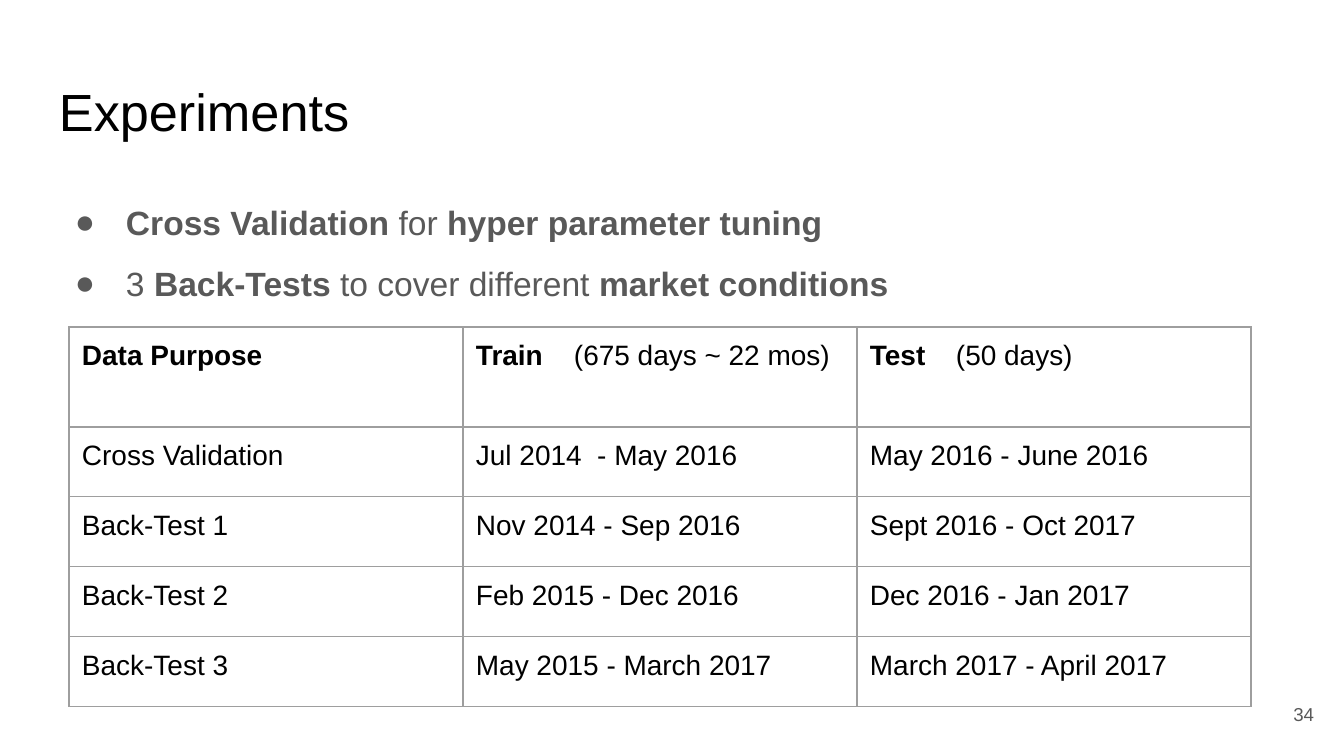
from lxml import etree
from pptx import Presentation, util as u
from pptx.dml.color import RGBColor
from pptx.enum import text as t
from pptx.oxml.ns import qn

TITLE = "Experiments"
PAGE = "34"
# Text between asterisks is bold.
POINTS = [
    "*Cross Validation* for *hyper parameter tuning*",
    "3 *Back-Tests* to cover different *market conditions*",
]
ROWS = [
    ["*Data Purpose*", "*Train*\t(675 days ~ 22 mos)", "*Test*\t(50 days)"],
    ["Cross Validation", "Jul 2014  - May 2016", "May 2016 - June 2016"],
    ["Back-Test 1", "Nov 2014 - Sep 2016", "Sept 2016 - Oct 2017"],
    ["Back-Test 2", "Feb 2015 - Dec 2016", "Dec 2016 - Jan 2017"],
    ["Back-Test 3", "May 2015 - March 2017", "March 2017 - April 2017"],
]
TABS = [0, 98, 86]
BLACK, GREY, EDGE = "000000", "595959", "9E9E9E"
COL, HEAD, ROW, PAD = 394, 100, 70, 13


def px(n):
    return u.Emu(round(n * 914400 / 134.4))


def rgb(code):
    return RGBColor.from_string(code)


def write(para, words, size, color):
    """Fill a paragraph, with the parts between asterisks in bold."""
    for i, part in enumerate(words.split("*")):
        if part:
            run = para.add_run()
            run.text = part
            font = run.font
            font.name, font.size, font.bold = "Arial", u.Pt(size), i % 2 == 1
            font.color.rgb = rgb(color)


def place(shape, left, top, width, height, anchor=t.MSO_ANCHOR.TOP):
    shape.left, shape.top = px(left), px(top)
    shape.width, shape.height = px(width), px(height)
    frame = shape.text_frame
    frame.word_wrap = True
    frame.auto_size = t.MSO_AUTO_SIZE.NONE
    frame.vertical_anchor = anchor
    frame.margin_left = frame.margin_right = px(PAD)
    frame.margin_top = frame.margin_bottom = px(PAD)
    return frame


def bullet(para):
    props = para._p.get_or_add_pPr()
    props.set("marL", str(px(67)))
    props.set("indent", str(-px(51)))
    tint = etree.SubElement(props, qn("a:buClr"))
    etree.SubElement(tint, qn("a:srgbClr"), val=GREY)
    etree.SubElement(props, qn("a:buFont"), typeface="Arial")
    etree.SubElement(props, qn("a:buChar"), char="●")


def tab(para, pos):
    stops = etree.SubElement(para._p.get_or_add_pPr(), qn("a:tabLst"))
    etree.SubElement(stops, qn("a:tab"), pos=str(px(pos)), algn="l")


def border(cell):
    props = cell._tc.get_or_add_tcPr()
    for i, side in enumerate(("lnL", "lnR", "lnT", "lnB")):
        line = etree.Element(qn("a:" + side), w=str(u.Pt(0.75)))
        fill = etree.SubElement(line, qn("a:solidFill"))
        etree.SubElement(fill, qn("a:srgbClr"), val=EDGE)
        props.insert(i, line)


deck = Presentation()
deck.slide_width, deck.slide_height = px(1344), px(756)
slide = deck.slides.add_slide(deck.slide_layouts[1])
title, body = slide.placeholders

frame = place(title, 46, 66, 1252, 84)
para = frame.paragraphs[0]
para.alignment = t.PP_ALIGN.LEFT
write(para, TITLE, 28, BLACK)

frame = place(body, 46, 169, 1252, 503)
for i, words in enumerate(POINTS):
    para = frame.add_paragraph() if i else frame.paragraphs[0]
    para.line_spacing, para.space_before = 1.5, u.Pt(0)
    bullet(para)
    write(para, words, 18, GREY)

grid = slide.shapes.add_table(
    len(ROWS), len(TABS), px(69), px(327),
    px(COL * len(TABS)), px(HEAD + ROW * (len(ROWS) - 1))).table
grid.first_row = grid.horz_banding = False
for col in grid.columns:
    col.width = px(COL)
for r, row in enumerate(ROWS):
    grid.rows[r].height = px(ROW if r else HEAD)
    for c, words in enumerate(row):
        cell = grid.cell(r, c)
        cell.fill.background()
        cell.margin_left = cell.margin_right = px(PAD)
        cell.margin_top = cell.margin_bottom = px(PAD)
        border(cell)
        para = cell.text_frame.paragraphs[0]
        if "\t" in words:
            tab(para, TABS[c])
        write(para, words, 15, BLACK)

box = slide.shapes.add_textbox(0, 0, 0, 0)
para = place(box, 1246, 685, 81, 58, t.MSO_ANCHOR.MIDDLE).paragraphs[0]
para.alignment = t.PP_ALIGN.RIGHT
write(para, PAGE, 10, GREY)

deck.save("out.pptx")
